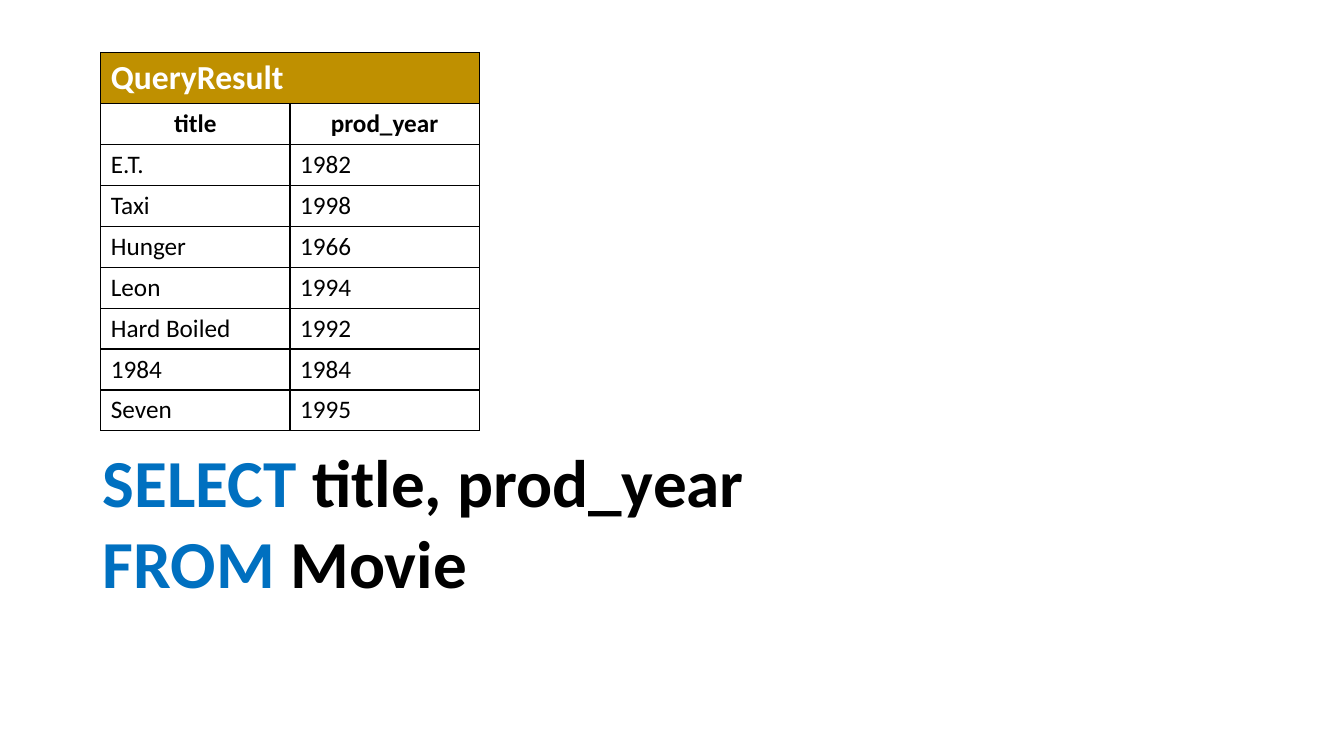
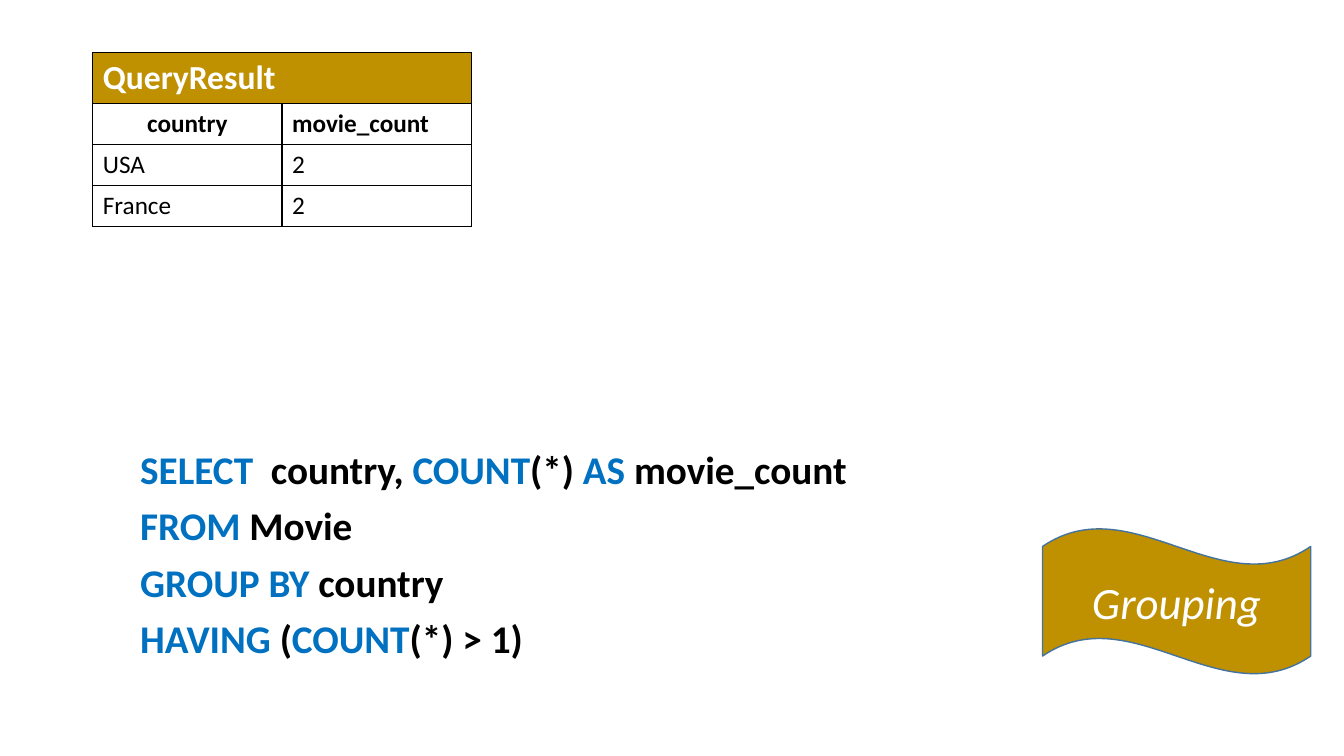
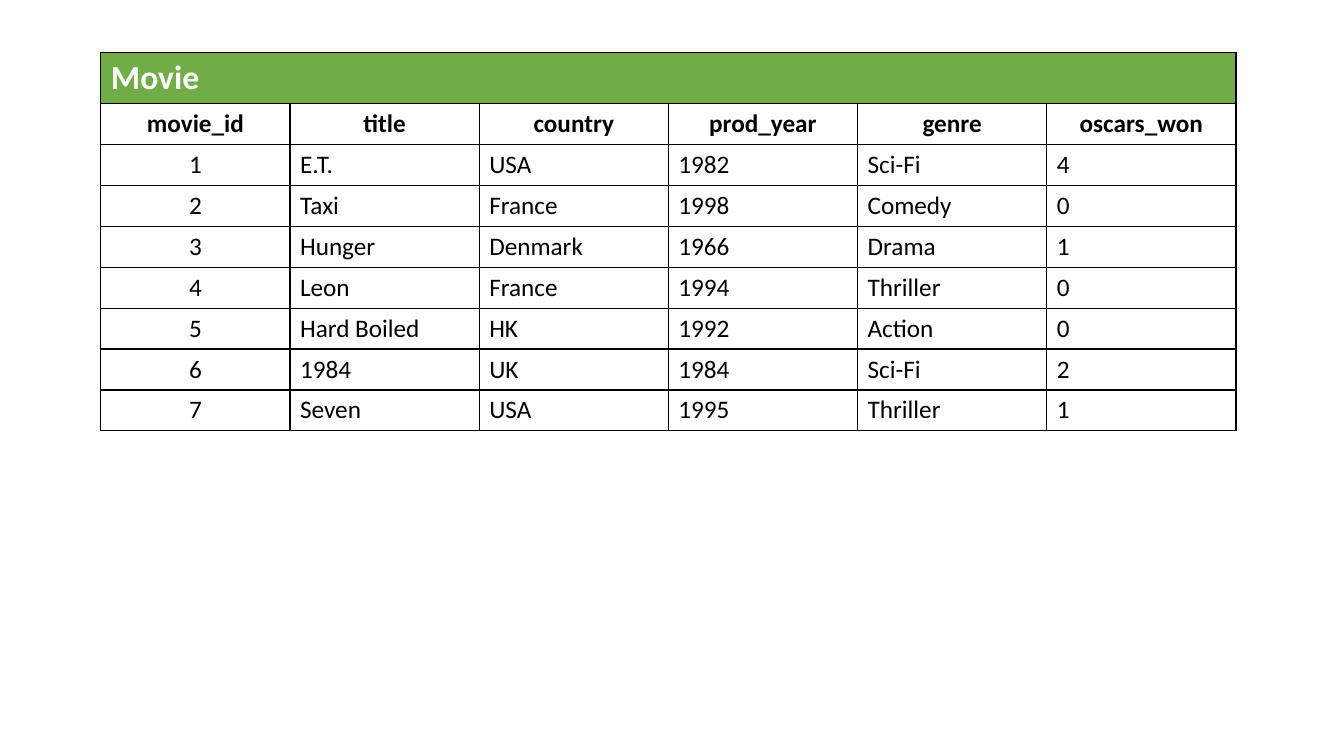
import pptx
import pptx.util
import pptx.dml.color
import pptx.enum.text
import pptx.enum.shapes
import pptx.oxml
import pptx.oxml.ns
from itertools import cycle

# Shared style
GOLD, GREEN, BLUE = "BF9000", "70AD47", "0070C0"
BLACK, WHITE, EDGE = "000000", "FFFFFF", "43739E"
FACE = "Calibri"
TOP, COL = 0.52, 11.26 / 6
HEAD, ROW = 0.51, 0.4
ALIGN = pptx.enum.text.PP_ALIGN
LEFT, MID = ALIGN.LEFT, ALIGN.CENTER
inch = pptx.util.Inches

# Content
FIELDS = ["movie_id", "title", "country", "prod_year", "genre", "oscars_won"]
MOVIES = [
    ["1", "E.T.", "USA", "1982", "Sci-Fi", "4"],
    ["2", "Taxi", "France", "1998", "Comedy", "0"],
    ["3", "Hunger", "Denmark", "1966", "Drama", "1"],
    ["4", "Leon", "France", "1994", "Thriller", "0"],
    ["5", "Hard Boiled", "HK", "1992", "Action", "0"],
    ["6", "1984", "UK", "1984", "Sci-Fi", "2"],
    ["7", "Seven", "USA", "1995", "Thriller", "1"],
]
YEARS = [[row[1], row[3]] for row in MOVIES]
COUNTS = [["USA", "2"], ["France", "2"]]

# Query lines: keyword and plain text take turns
PICK = [["SELECT", " title, prod_year"], ["FROM", " Movie"]]
GROUP = [
    ["SELECT", "  country, ", "COUNT", "(*) ", "AS ", "movie_count"],
    ["FROM", " Movie"],
    ["GROUP BY ", "country"],
    ["HAVING ", "(", "COUNT", "(*) > 1)"],
]


def color(code):
    return pptx.dml.color.RGBColor.from_string(code)


def write(frame, lines, size=18, tints=(BLACK,), bold=False, italic=False,
          align=LEFT, line=1.0, gap=0):
    """Fill a frame; each line is a list of pieces that cycle through tints."""
    frame.word_wrap = True
    for i, parts in enumerate(lines):
        para = frame.paragraphs[0] if i == 0 else frame.add_paragraph()
        props = para._p.get_or_add_pPr()
        props.set("marL", "0")
        props.set("indent", "0")
        props.append(pptx.oxml.parse_xml(
            "<a:buNone %s/>" % pptx.oxml.ns.nsdecls("a")))
        para.alignment = align
        para.line_spacing = line
        para.space_before = pptx.util.Pt(gap if i else 0)
        for part, tint in zip(parts, cycle(tints)):
            run = para.add_run()
            run.text = part
            font = run.font
            font.name, font.size = FACE, pptx.util.Pt(size)
            font.bold, font.italic = bold, italic
            font.color.rgb = color(tint)


def edge(cell):
    """Draw a black one-point border on all four sides."""
    props = cell._tc.get_or_add_tcPr()
    for i, side in enumerate("LRTB"):
        props.insert(i, pptx.oxml.parse_xml(
            '<a:ln%s %s w="12700"><a:solidFill><a:srgbClr val="%s"/>'
            "</a:solidFill></a:ln%s>"
            % (side, pptx.oxml.ns.nsdecls("a"), BLACK, side)))


def grid(slide, left, name, fill, heads, rows, mids=(), lefts=()):
    """Add a titled table; mids are centred columns, lefts left-set heads."""
    wide, high = len(heads), len(rows) + 2
    table = slide.shapes.add_table(
        high, wide, inch(left), inch(TOP), inch(COL * wide),
        inch(HEAD + ROW * (high - 1))).table
    table.first_row = table.horz_banding = False
    for col in table.columns:
        col.width = inch(COL)
    for r, row in enumerate(table.rows):
        row.height = inch(ROW if r else HEAD)
        for cell in row.cells:
            edge(cell)
            cell.fill.background()
    bar = table.cell(0, 0)
    bar.merge(table.cell(0, wide - 1))
    bar.fill.solid()
    bar.fill.fore_color.rgb = color(fill)
    write(bar.text_frame, [[name]], size=24, tints=[WHITE], bold=True)
    for r, row in enumerate([heads] + rows):
        for c, text in enumerate(row):
            mid = c in mids if r else c not in lefts
            write(table.cell(r + 1, c).text_frame, [[text]],
                  bold=r == 0, align=MID if mid else LEFT)


def query(slide, box, lines, size, gap):
    """Put a query in the body placeholder and drop the unused title."""
    title = slide.shapes.title._element
    title.getparent().remove(title)
    body = slide.placeholders[1]
    body.left, body.top, body.width, body.height = map(inch, box)
    body.text_frame.auto_size = pptx.enum.text.MSO_AUTO_SIZE.NONE
    write(body.text_frame, lines, size=size, tints=(BLUE, BLACK), bold=True,
          line=0.9, gap=gap)


def badge(slide, box, text):
    wave = slide.shapes.add_shape(
        pptx.enum.shapes.MSO_SHAPE.WAVE, *map(inch, box))
    wave.shadow.inherit = False
    wave.fill.solid()
    wave.fill.fore_color.rgb = color(GOLD)
    wave.line.color.rgb = color(EDGE)
    wave.line.width = pptx.util.Pt(1)
    wave.text_frame.vertical_anchor = pptx.enum.text.MSO_ANCHOR.MIDDLE
    write(wave.text_frame, [[text]], size=32, tints=[WHITE], italic=True,
          align=MID)


def main():
    deck = pptx.Presentation()
    deck.slide_width, deck.slide_height = inch(13.33), inch(7.5)
    body, blank = deck.slide_layouts[1], deck.slide_layouts[6]

    # Column selection
    slide = deck.slides.add_slide(body)
    query(slide, (0.92, 4.41, 11.5, 2.91), PICK, size=48, gap=6)
    grid(slide, 1, "QueryResult", GOLD, ["title", "prod_year"], YEARS)

    # Grouping
    slide = deck.slides.add_slide(body)
    grid(slide, 0.92, "QueryResult", GOLD, ["country", "movie_count"],
         COUNTS, lefts=[1])
    badge(slide, (10.34, 5.24, 2.66, 1.45), "Grouping")
    query(slide, (1.29, 4.42, 11.13, 2.47), GROUP, size=28, gap=10)

    # Full movie table
    slide = deck.slides.add_slide(blank)
    grid(slide, 1, "Movie", GREEN, FIELDS, MOVIES, mids=[0])

    deck.save("out.pptx")


if __name__ == "__main__":
    main()
